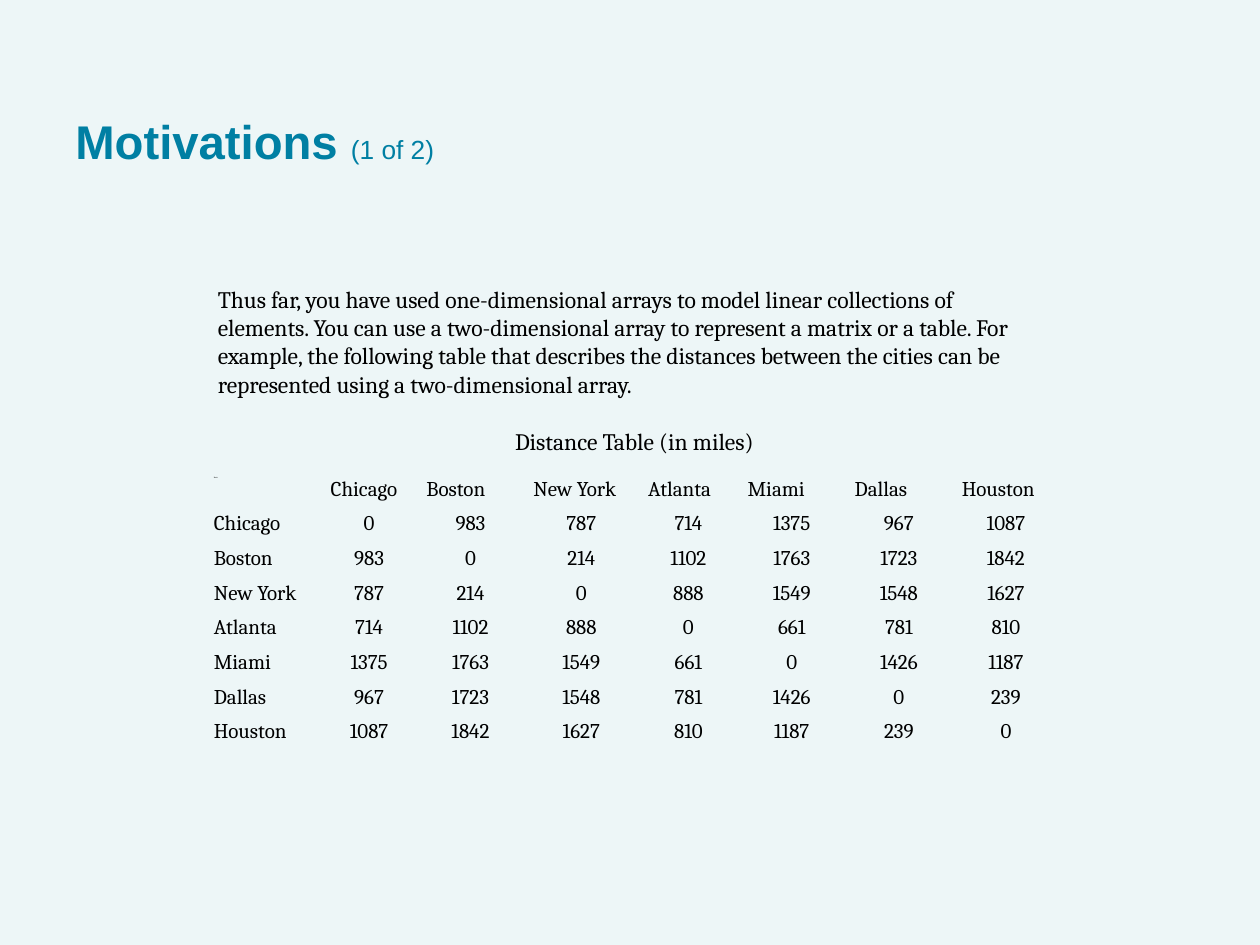
"""Build the Motivations slide with its table of distances between cities."""
import pptx
import pptx.dml.color
import pptx.enum.text
import pptx.util

Pt = pptx.util.Pt
ALIGN = pptx.enum.text.PP_ALIGN
ANCHOR = pptx.enum.text.MSO_ANCHOR

COLORS = {"background": "EDF6F7", "title": "007FA3", "text": "000000"}
NO_STYLE_NO_GRID = "{2D5ABB26-0587-4C30-8999-92F81FD0307C}"

INTRO = (
    "Thus far, you have used one-dimensional arrays to model linear collections of "
    "elements. You can use a two-dimensional array to represent a matrix or a table. "
    "For example, the following table that describes the distances between the cities "
    "can be represented using a two-dimensional array."
)
CAPTION = "Distance Table (in miles)"
CORNER = "Blank"
CITIES = ["Chicago", "Boston", "New York", "Atlanta", "Miami", "Dallas", "Houston"]
DISTANCES = [
    [0, 983, 787, 714, 1375, 967, 1087],
    [983, 0, 214, 1102, 1763, 1723, 1842],
    [787, 214, 0, 888, 1549, 1548, 1627],
    [714, 1102, 888, 0, 661, 781, 810],
    [1375, 1763, 1549, 661, 0, 1426, 1187],
    [967, 1723, 1548, 781, 1426, 0, 239],
    [1087, 1842, 1627, 810, 1187, 239, 0],
]
COLUMN_WIDTHS = [66.8, 54.7, 61.2, 65.5, 56.9, 61.2, 61.2, 61.2]
ROW_HEIGHT = 19.8

TITLE_FONT = {"name": "Arial", "size": Pt(27), "bold": True}
COUNT_FONT = {"name": "Arial", "size": Pt(15), "bold": False}
BODY_FONT = {"name": "Cambria", "size": Pt(13.5)}
CELL_FONT = {"name": "Cambria", "size": Pt(12)}
CORNER_FONT = {"name": "Cambria", "size": Pt(1)}

TITLE_FRAME = {"vertical_anchor": ANCHOR.BOTTOM, "margin_left": Pt(7.2),
               "margin_right": Pt(7.2), "margin_top": Pt(7.2), "margin_bottom": Pt(7.2)}
CAPTION_FRAME = {"margin_left": Pt(5.4), "margin_right": Pt(5.4),
                 "margin_top": Pt(0), "margin_bottom": Pt(2.7)}
CELL_MARGINS = {"margin_left": Pt(5.4), "margin_right": Pt(5.4),
                "margin_top": Pt(2.7), "margin_bottom": Pt(2.7)}


def apply(target, values):
    for attribute, value in values.items():
        setattr(target, attribute, value)


def write(paragraph, runs, color="text", alignment=ALIGN.LEFT):
    paragraph.alignment = alignment
    for text, font in runs:
        run = paragraph.add_run()
        run.text = text
        apply(run.font, font)
        run.font.color.rgb = pptx.dml.color.RGBColor.from_string(COLORS[color])


def add_text(slide, place, runs, frame_values, **style):
    frame = slide.shapes.add_textbox(*map(Pt, place)).text_frame
    apply(frame, {"word_wrap": True, **frame_values})
    write(frame.paragraphs[0], runs, **style)


def add_distances(slide, left, top):
    rows = [[CORNER, *CITIES]]
    rows += [[city, *miles] for city, miles in zip(CITIES, DISTANCES)]
    frame = slide.shapes.add_table(
        len(rows), len(COLUMN_WIDTHS), Pt(left), Pt(top),
        Pt(sum(COLUMN_WIDTHS)), Pt(ROW_HEIGHT * len(rows)))
    table = frame.table
    apply(table, {"first_row": False, "horz_banding": False})
    table._tbl.tblPr[0].text = NO_STYLE_NO_GRID
    for column, width in zip(table.columns, COLUMN_WIDTHS):
        column.width = Pt(width)
    for r, row in enumerate(rows):
        table.rows[r].height = Pt(ROW_HEIGHT)
        for c, value in enumerate(row):
            cell = table.cell(r, c)
            cell.fill.background()
            apply(cell, CELL_MARGINS)
            font = CORNER_FONT if r == c == 0 else CELL_FONT
            alignment = ALIGN.CENTER if r and c else ALIGN.LEFT
            write(cell.text_frame.paragraphs[0], [(str(value), font)], alignment=alignment)


def main():
    deck = pptx.Presentation()
    apply(deck, {"slide_width": Pt(720), "slide_height": Pt(540)})
    slide = deck.slides.add_slide(deck.slide_layouts[6])
    fill = slide.background.fill
    fill.solid()
    fill.fore_color.rgb = pptx.dml.color.RGBColor.from_string(COLORS["background"])

    add_text(slide, (36, 17.3, 648, 86.4),
             [("Motivations ", TITLE_FONT), ("(1 of 2)", COUNT_FONT)],
             TITLE_FRAME, color="title")
    add_text(slide, (117.4, 159.1, 486, 74.9), [(INTRO, BODY_FONT)], {})
    add_text(slide, (278.6, 244.1, 167.8, 20.9), [(CAPTION, BODY_FONT)],
             CAPTION_FRAME, alignment=ALIGN.CENTER)
    add_distances(slide, 116.8, 270)
    deck.save("out.pptx")


if __name__ == "__main__":
    main()
